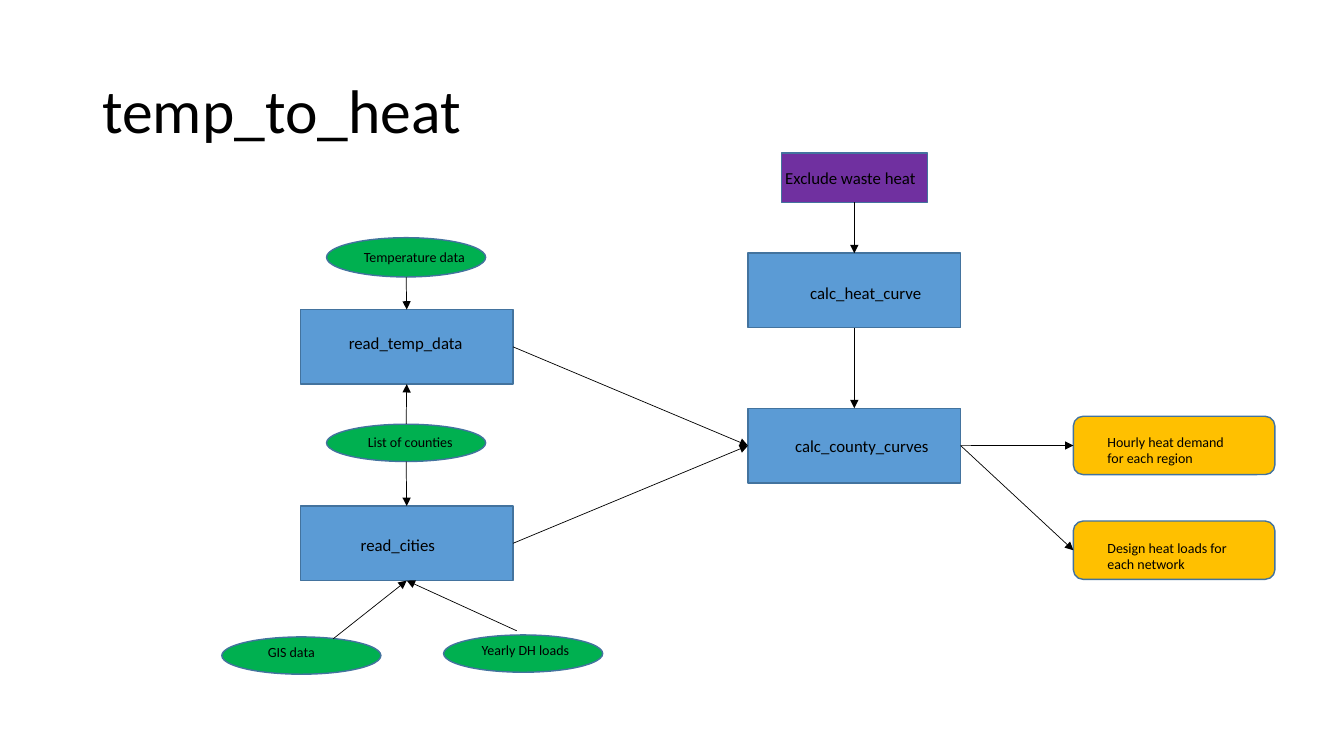
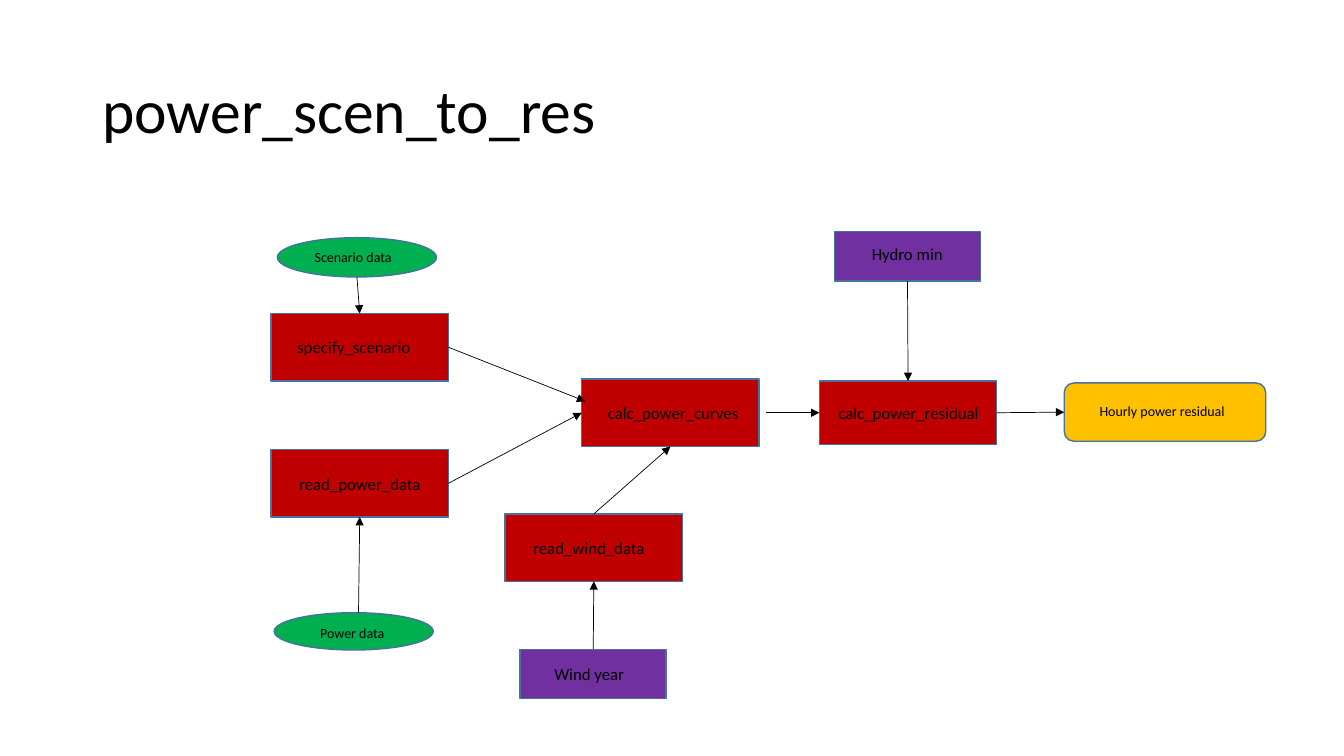
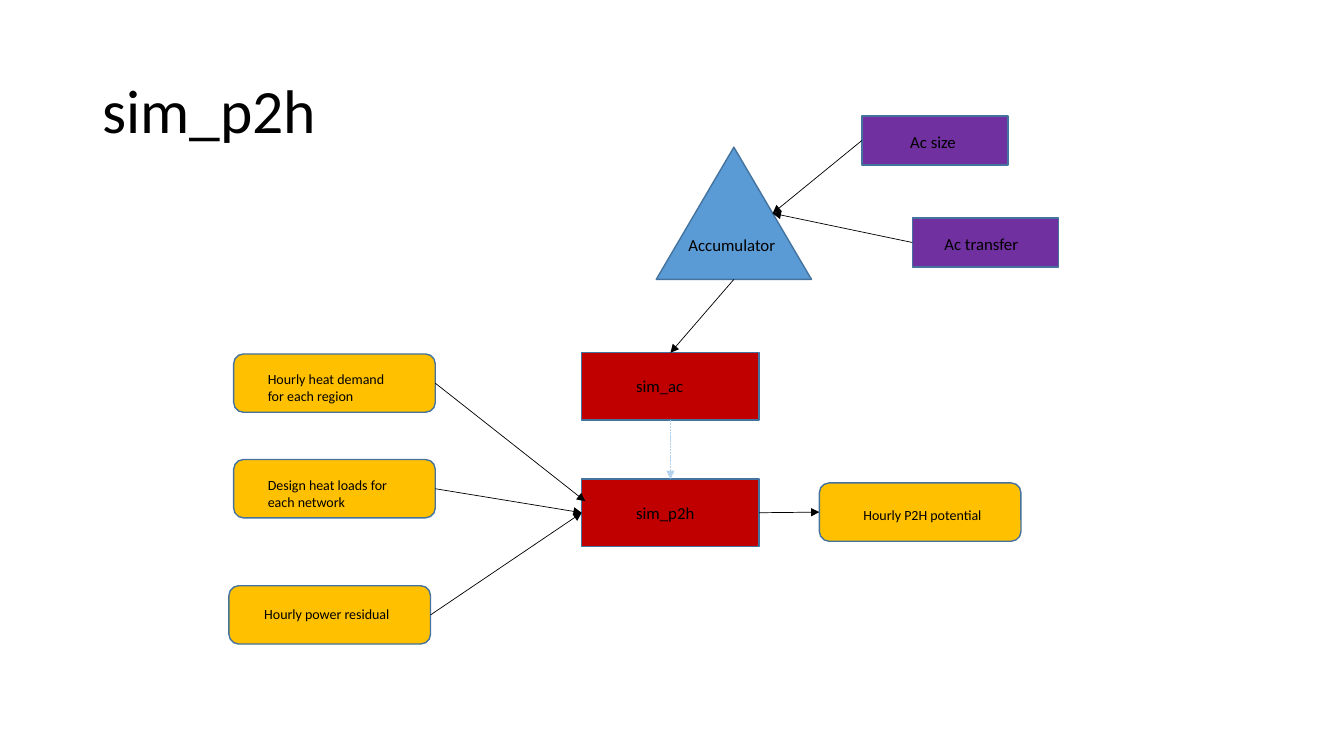
from dataclasses import dataclass, replace

import pptx
import pptx.dml.color
import pptx.enum.dml
import pptx.enum.shapes
import pptx.enum.text
import pptx.oxml.ns
import pptx.oxml.xmlchemy
import pptx.slide
import pptx.text.text
import pptx.util

Cm = pptx.util.Cm
Pt = pptx.util.Pt
RGBColor = pptx.dml.color.RGBColor
MSO_SHAPE = pptx.enum.shapes.MSO_SHAPE

BLACK = RGBColor(0x00, 0x00, 0x00)
GREEN = RGBColor(0x00, 0xB0, 0x50)
BLUE = RGBColor(0x5B, 0x9B, 0xD5)
RED = RGBColor(0xC0, 0x00, 0x00)
PURPLE = RGBColor(0x70, 0x30, 0xA0)
AMBER = RGBColor(0xFF, 0xC0, 0x00)
OUTLINE = RGBColor(0x43, 0x73, 0x9E)
PALE_BLUE = RGBColor(0xB5, 0xD2, 0xEC)
FONT = "Calibri"

Point = tuple[float, float]
TOP: Point = (0.5, 0)
BOTTOM: Point = (0.5, 1)
LEFT: Point = (0, 0.5)
RIGHT: Point = (1, 0.5)
SLOPE: Point = (0.75, 0.5)
UPPER_LEFT: Point = (0.02, 0.33)


@dataclass(frozen=True)
class Kind:
    shape: MSO_SHAPE
    fill: RGBColor
    width: float
    height: float
    size: int = 12


@dataclass(frozen=True)
class Node:
    kind: Kind
    left: float
    top: float
    text: str
    dx: float
    dy: float
    text_width: float = 3.73

    def point(self, place: Point) -> Point:
        return (self.left + place[0] * self.kind.width,
                self.top + place[1] * self.kind.height)


@dataclass(frozen=True)
class Link:
    start: Node
    start_at: Point
    end: Node
    end_at: Point
    color: RGBColor = BLACK
    dashed: bool = False


@dataclass(frozen=True)
class Diagram:
    title: str
    nodes: list[Node]
    links: list[Link]


DATA = Kind(MSO_SHAPE.OVAL, GREEN, 4.01, 0.94, 10)
TALL_DATA = replace(DATA, height=0.99)
HEAT_STEP = Kind(MSO_SHAPE.RECTANGLE, BLUE, 5.36, 1.88)
POWER_STEP = Kind(MSO_SHAPE.RECTANGLE, RED, 4.47, 1.7)
LOW_STEP = replace(POWER_STEP, height=1.6)
OPTION = Kind(MSO_SHAPE.RECTANGLE, PURPLE, 3.68, 1.24)
RESULT = Kind(MSO_SHAPE.ROUNDED_RECTANGLE, AMBER, 5.08, 1.47, 10)
STORE = Kind(MSO_SHAPE.ISOSCELES_TRIANGLE, BLUE, 3.91, 3.33)


def heat_diagram() -> Diagram:
    gis = Node(DATA, 5.59, 16.05, "GIS data", 0.91, 0.05)
    counties = Node(DATA, 8.23, 10.69, "List of counties", 0.79, 0.1)
    temperature = Node(TALL_DATA, 8.23, 5.99, "Temperature data", 0.69, 0.15)
    loads = Node(DATA, 11.18, 16, "Yearly DH loads", 0.71, 0.05)
    read_temp = Node(HEAT_STEP, 7.57, 7.8, "read_temp_data", 0.97, 0.46)
    read_cities = Node(HEAT_STEP, 7.57, 12.75, "read_cities", 1.27, 0.61)
    heat_curve = Node(HEAT_STEP, 18.85, 6.38, "calc_heat_curve", 1.32, 0.61, 4.24)
    county_curves = Node(HEAT_STEP, 18.85, 10.29, "calc_county_curves", 0.94, 0.56, 4.24)
    exclude = Node(OPTION, 19.69, 3.86, "Exclude waste heat", -0.15, 0.23, 4.24)
    demand = Node(RESULT, 27.05, 10.49, "Hourly heat demand for each region", 0.61, 0.3, 3.89)
    design = Node(RESULT, 27.05, 13.13, "Design heat loads for each network", 0.61, 0.33, 3.89)
    return Diagram(
        "temp_to_heat",
        [gis, counties, heat_curve, county_curves, read_cities, read_temp,
         temperature, loads, demand, design, exclude],
        [Link(temperature, BOTTOM, read_temp, TOP),
         Link(counties, TOP, read_temp, BOTTOM),
         Link(counties, BOTTOM, read_cities, TOP),
         Link(gis, (0.7, 0.05), read_cities, BOTTOM),
         Link(loads, (0.46, -0.11), read_cities, BOTTOM),
         Link(read_temp, RIGHT, county_curves, LEFT),
         Link(read_cities, RIGHT, county_curves, LEFT),
         Link(heat_curve, BOTTOM, county_curves, TOP),
         Link(county_curves, RIGHT, demand, LEFT),
         Link(county_curves, RIGHT, design, LEFT),
         Link(exclude, BOTTOM, heat_curve, TOP)])


def power_diagram() -> Diagram:
    read_power = Node(POWER_STEP, 6.83, 11.33, "read_power_data", 0.46, 0.48)
    specify = Node(POWER_STEP, 6.83, 7.9, "specify_scenario", 0.41, 0.46)
    calc_residual = Node(LOW_STEP, 20.65, 9.6, "calc_power_residual", 0.23, 0.43, 4.24)
    curves = Node(POWER_STEP, 14.66, 9.55, "calc_power_curves", 0.41, 0.48, 4.24)
    read_wind = Node(POWER_STEP, 12.73, 12.95, "read_wind_data", 0.46, 0.48)
    power = Node(DATA, 6.91, 15.44, "Power data", 0.91, 0.18, 2.57)
    scenario = Node(TALL_DATA, 6.99, 5.99, "Scenario data", 0.69, 0.15)
    residual = Node(RESULT, 26.82, 9.65, "Hourly power residual", 0.64, 0.38, 3.76)
    hydro = Node(OPTION, 21.03, 5.84, "Hydro min", 0.69, 0.18, 2.35)
    wind_year = Node(OPTION, 13.11, 16.36, "Wind year", 0.61, 0.23, 2.49)
    return Diagram(
        "power_scen_to_res",
        [read_power, specify, calc_residual, curves, power, scenario,
         residual, hydro, wind_year, read_wind],
        [Link(specify, RIGHT, curves, UPPER_LEFT),
         Link(scenario, BOTTOM, specify, TOP),
         Link(read_power, RIGHT, curves, LEFT),
         Link(curves, (1.04, 0.5), calc_residual, LEFT),
         Link(calc_residual, RIGHT, residual, LEFT),
         Link(power, (0.53, 0), read_power, BOTTOM),
         Link(hydro, BOTTOM, calc_residual, TOP),
         Link(wind_year, TOP, read_wind, BOTTOM),
         Link(read_wind, TOP, curves, BOTTOM)])


def simulation_diagram() -> Diagram:
    sim_p2h = Node(POWER_STEP, 14.66, 12.07, "sim_p2h", 1.12, 0.48, 2.18)
    sim_ac = Node(POWER_STEP, 14.66, 8.89, "sim_ac", 1.12, 0.46, 2.18)
    potential = Node(RESULT, 20.65, 12.17, "Hourly P2H potential", 0.86, 0.46, 3.76)
    residual = Node(RESULT, 5.77, 14.76, "Hourly power residual", 0.64, 0.38, 3.76)
    demand = Node(RESULT, 5.89, 8.92, "Hourly heat demand for each region", 0.61, 0.3, 3.89)
    design = Node(RESULT, 5.89, 11.58, "Design heat loads for each network", 0.61, 0.3, 3.89)
    accumulator = Node(STORE, 16.54, 3.71, "Accumulator", 0.56, 2.08, 2.79)
    ac_size = Node(OPTION, 21.72, 2.92, "Ac size", 0.97, 0.28, 1.75)
    ac_transfer = Node(OPTION, 22.99, 5.49, "Ac transfer", 0.56, 0.28, 2.57)
    return Diagram(
        "sim_p2h",
        [sim_p2h, potential, residual, demand, design, sim_ac,
         accumulator, ac_size, ac_transfer],
        [Link(demand, RIGHT, sim_p2h, UPPER_LEFT),
         Link(residual, RIGHT, sim_p2h, LEFT),
         Link(sim_p2h, RIGHT, potential, LEFT),
         Link(design, RIGHT, sim_p2h, LEFT),
         Link(accumulator, BOTTOM, sim_ac, TOP),
         Link(sim_ac, BOTTOM, sim_p2h, TOP, PALE_BLUE, True),
         Link(ac_size, LEFT, accumulator, SLOPE),
         Link(ac_transfer, LEFT, accumulator, SLOPE)])


def add_text(s: pptx.slide.Slide, left: float, top: float, width: float,
             height: float, text: str, size: int) -> pptx.text.text.TextFrame:
    tf = s.shapes.add_textbox(Cm(left), Cm(top), Cm(width), Cm(height)).text_frame
    tf.word_wrap = True
    tf.text = text
    font = tf.paragraphs[0].runs[0].font
    font.name = FONT
    font.size = Pt(size)
    font.color.rgb = BLACK
    return tf


def add_title(s: pptx.slide.Slide, text: str) -> None:
    tf = add_text(s, 2.33, 1.01, 29.21, 3.68, text, 44)
    tf.vertical_anchor = pptx.enum.text.MSO_ANCHOR.MIDDLE
    tf.paragraphs[0].line_spacing = 0.9


def add_node(s: pptx.slide.Slide, node: Node) -> None:
    kind = node.kind
    sp = s.shapes.add_shape(kind.shape, Cm(node.left), Cm(node.top),
                            Cm(kind.width), Cm(kind.height))
    sp.shadow.inherit = False
    sp.fill.solid()
    sp.fill.fore_color.rgb = kind.fill
    sp.line.color.rgb = OUTLINE
    sp.line.width = Pt(1)
    text_height = 1.12 if kind == RESULT and len(node.text) > 25 else 0.76
    tf = add_text(s, node.left + node.dx, node.top + node.dy,
                  node.text_width, text_height, node.text, kind.size)
    tf.auto_size = pptx.enum.text.MSO_AUTO_SIZE.SHAPE_TO_FIT_TEXT


def add_link(s: pptx.slide.Slide, link: Link) -> None:
    x1, y1 = link.start.point(link.start_at)
    x2, y2 = link.end.point(link.end_at)
    cxn = s.shapes.add_connector(pptx.enum.shapes.MSO_CONNECTOR.STRAIGHT,
                                 Cm(x1), Cm(y1), Cm(x2), Cm(y2))
    cxn.line.color.rgb = link.color
    cxn.line.width = Pt(0.5)
    if link.dashed:
        cxn.line.dash_style = pptx.enum.dml.MSO_LINE.SQUARE_DOT
    sp_pr = cxn.element.spPr
    tail = pptx.oxml.xmlchemy.OxmlElement("a:tailEnd")
    tail.set("type", "triangle")
    sp_pr.find(pptx.oxml.ns.qn("a:ln")).append(tail)
    sp_pr.append(pptx.oxml.xmlchemy.OxmlElement("a:effectLst"))


def main() -> None:
    prs = pptx.Presentation()
    prs.slide_width = Cm(33.87)
    prs.slide_height = Cm(19.05)
    for diagram in (heat_diagram(), power_diagram(), simulation_diagram()):
        s = prs.slides.add_slide(prs.slide_layouts[6])
        add_title(s, diagram.title)
        for node in diagram.nodes:
            add_node(s, node)
        for link in diagram.links:
            add_link(s, link)
    prs.save("out.pptx")


main()
